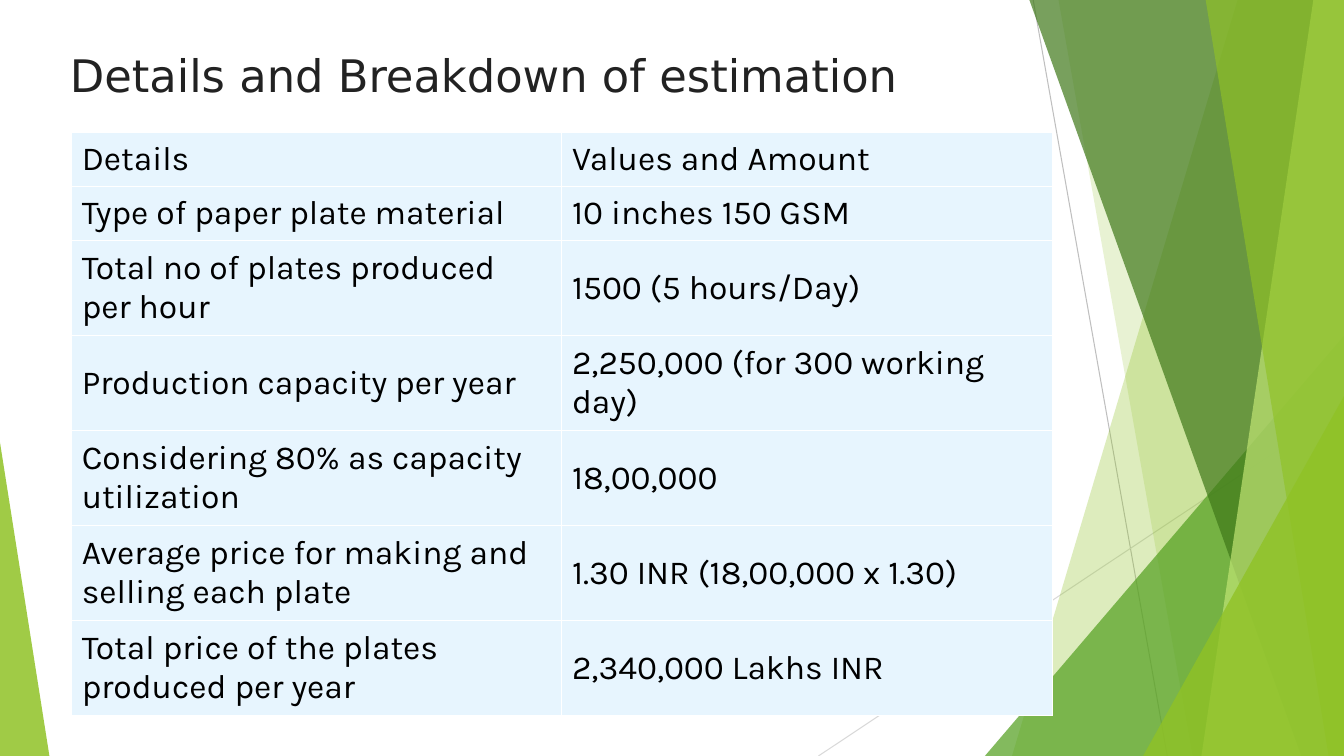
from lxml import etree
from pptx import Presentation
from pptx.dml.color import RGBColor
from pptx.enum.shapes import MSO_CONNECTOR, MSO_SHAPE
from pptx.enum.text import MSO_ANCHOR
from pptx.oxml.ns import qn
from pptx.util import Pt

STRAIGHT = MSO_CONNECTOR.STRAIGHT
TRIANGLE = MSO_SHAPE.ISOSCELES_TRIANGLE
MIDDLE = MSO_ANCHOR.MIDDLE

SLIDE_WIDTH, SLIDE_HEIGHT = 960, 540
BAND_TOP = -0.6
LIME, GREEN, FOREST, PALE_LIME = "90C226", "54A021", "3F7819", "C0E474"
CELL_BLUE, WHITE = "E7F5FE", "FFFFFF"
TITLE_FORMAT = {"name": "DejaVu Sans", "size": Pt(32)}
CELL_FORMAT = {"name": "Karla", "size": Pt(24)}

ESTIMATE = [
    ("Details", "Values and Amount"),
    ("Type of paper plate material", "10 inches 150 GSM"),
    ("Total no of plates produced per hour", "1500 (5 hours/Day)"),
    ("Production capacity per year", "2,250,000 (for 300 working day)"),
    ("Considering 80% as capacity utilization", "18,00,000"),
    ("Average price for making and selling each plate", "1.30 INR (18,00,000 x 1.30)"),
    ("Total price of the plates produced per year", "2,340,000 Lakhs INR"),
]
COLUMN_WIDTH = 350.2
SINGLE_ROW, DOUBLE_ROW = 38.6, 67.9
SINGLE_ROWS = 2


def rgb(value):
    return RGBColor.from_string(value)


def format_font(font, values, color):
    for attribute, value in values.items():
        setattr(font, attribute, value)
    font.color.rgb = rgb(color)


def paint(shape, color, opacity):
    """Give a shape a see-through fill, with no line or shadow."""
    shape.shadow.inherit = False
    shape.line.fill.background()
    shape.fill.solid()
    shape.fill.fore_color.rgb = rgb(color)
    tint = shape.fill._xPr.find(qn("a:solidFill"))[0]
    etree.SubElement(tint, qn("a:alpha"), val=str(opacity * 1000))


def add_hairline(slide, start, end, color):
    hairline = slide.shapes.add_connector(STRAIGHT, *map(Pt, start + end))
    hairline.line.color.rgb = rgb(color)
    hairline.line.width = Pt(0.75)
    etree.SubElement(hairline._element.spPr, qn("a:effectLst"))


def add_band(slide, top_x, bottom_x, color, opacity):
    """Fill from a slanted left edge to the right side of the slide."""
    builder = slide.shapes.build_freeform(Pt(top_x), Pt(BAND_TOP))
    corners = [(SLIDE_WIDTH, BAND_TOP), (SLIDE_WIDTH, SLIDE_HEIGHT), (bottom_x, SLIDE_HEIGHT)]
    builder.add_line_segments([(Pt(x), Pt(y)) for x, y in corners], close=True)
    paint(builder.convert_to_shape(), color, opacity)


def add_corner(slide, left, top, width, apex, color, opacity):
    """Stand a right triangle on the bottom edge; apex is 0 (left) or 1 (right)."""
    corner = slide.shapes.add_shape(
        TRIANGLE, Pt(left), Pt(top), Pt(width), Pt(SLIDE_HEIGHT - top))
    corner.adjustments[0] = apex
    paint(corner, color, opacity)


def add_backdrop(slide):
    add_hairline(slide, (738, 0), (833.8, SLIDE_HEIGHT), "BFBFBF")
    add_hairline(slide, (SLIDE_WIDTH, 290.2), (584.6, SLIDE_HEIGHT), "D9D9D9")
    add_band(slide, 884.2, 722.9, LIME, 30)
    add_band(slide, 756, 851.8, LIME, 20)
    add_corner(slide, 703.5, 239.8, 256.5, 1, GREEN, 72)
    add_band(slide, 735.1, 929.5, FOREST, 70)
    add_band(slide, 938.2, 858.2, PALE_LIME, 70)
    add_band(slide, 861.1, 949, LIME, 65)
    add_corner(slide, 816.5, 283, 143.5, 1, LIME, 80)
    add_corner(slide, 0, 316.1, 35.3, 0, LIME, 85)


def add_borders(cell, color):
    properties = cell._tc.get_or_add_tcPr()
    for side in ("lnL", "lnR", "lnT", "lnB"):
        border = etree.SubElement(properties, qn(f"a:{side}"), w=str(Pt(0.75)))
        fill = etree.SubElement(border, qn("a:solidFill"))
        etree.SubElement(fill, qn("a:srgbClr"), val=color)


def fill_cell(cell, text):
    cell.text = text
    cell.vertical_anchor = MIDDLE
    format_font(cell.text_frame.paragraphs[0].runs[0].font, CELL_FORMAT, "000000")
    add_borders(cell, WHITE)
    cell.fill.solid()
    cell.fill.fore_color.rgb = rgb(CELL_BLUE)


def add_estimate(slide):
    heights = [SINGLE_ROW if index < SINGLE_ROWS else DOUBLE_ROW
               for index in range(len(ESTIMATE))]
    columns = len(ESTIMATE[0])
    estimate = slide.shapes.add_table(
        len(ESTIMATE), columns, Pt(51.2), Pt(94.5),
        Pt(COLUMN_WIDTH * columns), Pt(sum(heights))).table
    estimate.first_row = estimate.horz_banding = False
    for column in estimate.columns:
        column.width = Pt(COLUMN_WIDTH)
    for row, height, texts in zip(estimate.rows, heights, ESTIMATE):
        row.height = Pt(height)
        for cell, text in zip(row.cells, texts):
            fill_cell(cell, text)


def add_title(slide, text):
    title = slide.shapes.add_textbox(Pt(42.8), Pt(30.4), Pt(612.7), Pt(46)).text_frame
    title.word_wrap = False
    title.vertical_anchor = MIDDLE
    heading = title.paragraphs[0].add_run()
    heading.text = text
    format_font(heading.font, TITLE_FORMAT, "222222")


def main():
    deck = Presentation()
    deck.slide_width, deck.slide_height = Pt(SLIDE_WIDTH), Pt(SLIDE_HEIGHT)
    slide = deck.slides.add_slide(deck.slide_layouts[6])
    add_backdrop(slide)
    add_estimate(slide)
    add_title(slide, "Details and Breakdown of estimation")
    deck.save("out.pptx")


if __name__ == "__main__":
    main()
